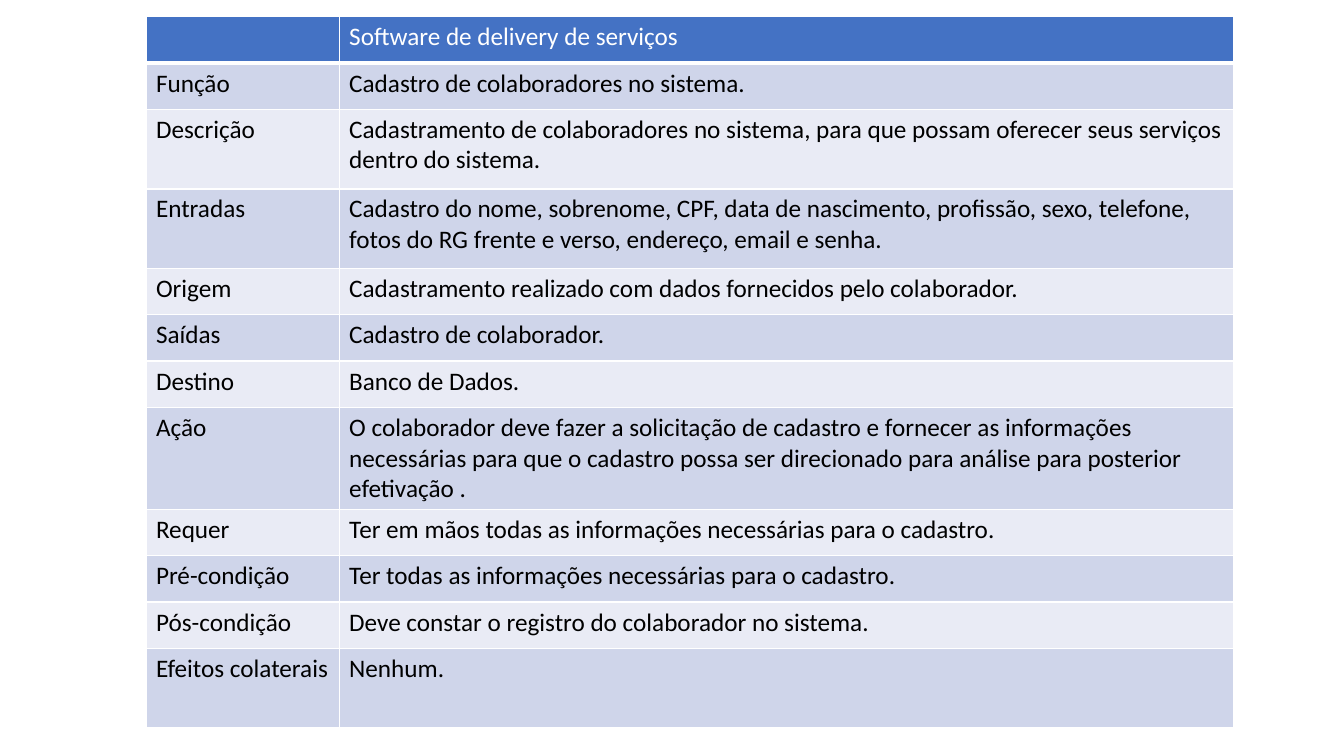
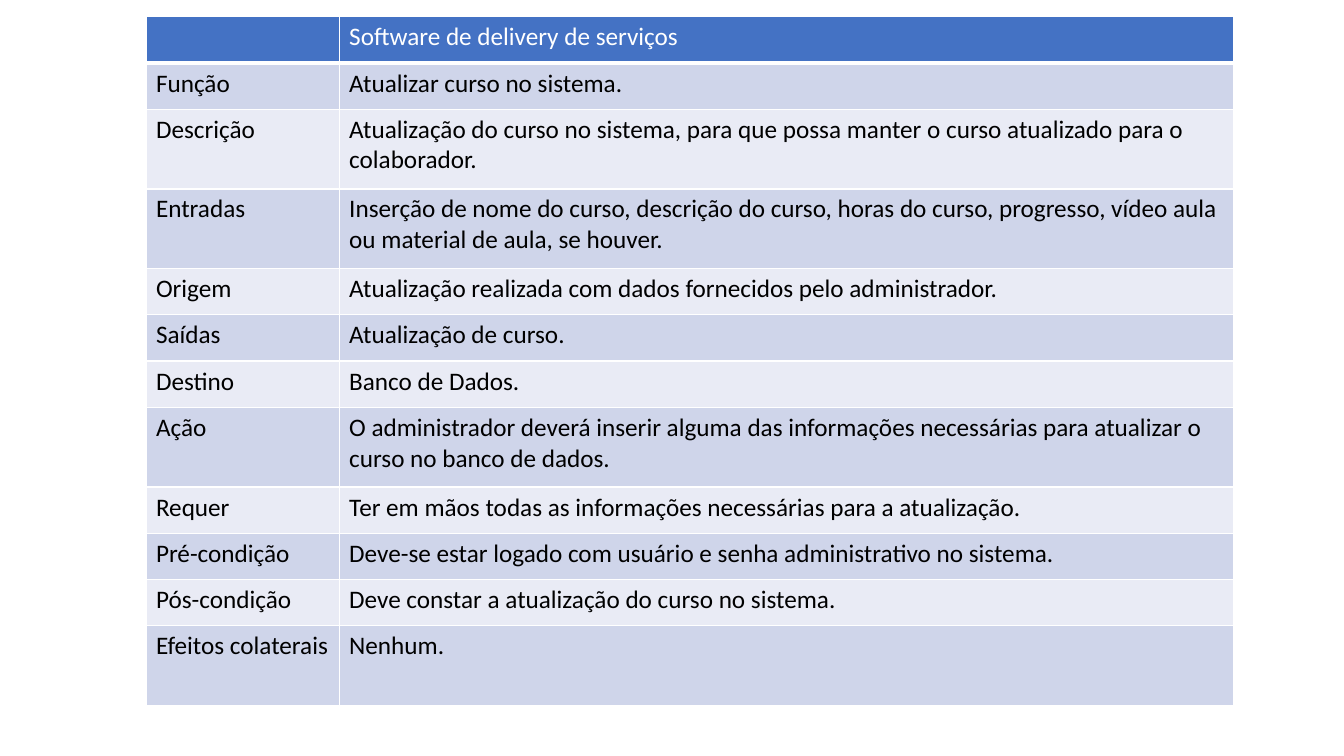
"""Build two requirement-specification slides, each with one table."""
from lxml import etree
from pptx import Presentation
from pptx.dml.color import RGBColor
from pptx.oxml.ns import qn
from pptx.util import Pt

PX = 9525
WHITE, BLACK = "FFFFFF", "000000"
HEADER_FILL = "4472C4"
BAND_FILLS = ["E9EBF5", "CFD5EA"]
FONT = "Calibri"
LEFT, TOP = 139, 16
LABEL_WIDTH, DETAIL_WIDTH = 184, 852
SHORT_ROW, TALL_ROW = 44, 76
HEADING = "Software de delivery de serviços"
LABELS = [
    "Função", "Descrição", "Entradas", "Origem", "Saídas", "Destino",
    "Ação", "Requer", "Pré-condição", "Pós-condição", "Efeitos colaterais",
]
TALL_LABELS = {"Descrição", "Entradas", "Ação", "Efeitos colaterais"}
REQUIREMENTS = [
    [
        "Cadastro de colaboradores no sistema.",
        "Cadastramento de colaboradores no sistema, para que possam oferecer "
        "seus serviços dentro do sistema.",
        "Cadastro do nome, sobrenome, CPF, data de nascimento, profissão, sexo, "
        "telefone, fotos do RG frente e verso, endereço, email e senha.",
        "Cadastramento realizado com dados fornecidos pelo colaborador.",
        "Cadastro de colaborador.",
        "Banco de Dados.",
        "O colaborador deve fazer a solicitação de cadastro e fornecer as "
        "informações necessárias para que o cadastro possa ser direcionado "
        "para análise para posterior efetivação .",
        "Ter em mãos todas as informações necessárias para o cadastro.",
        "Ter todas as informações necessárias para o cadastro.",
        "Deve constar o registro do colaborador no sistema.",
        "Nenhum.",
    ],
    [
        "Atualizar curso no sistema.",
        "Atualização do curso no sistema, para que possa manter o curso "
        "atualizado para o colaborador.",
        "Inserção de nome do curso, descrição do curso, horas do curso, "
        "progresso, vídeo aula ou material de aula, se houver.",
        "Atualização realizada com dados fornecidos pelo administrador.",
        "Atualização de curso.",
        "Banco de Dados.",
        "O administrador deverá inserir alguma das informações necessárias "
        "para atualizar o curso no banco de dados.",
        "Ter em mãos todas as informações necessárias para a atualização.",
        "Deve-se estar logado com usuário e senha administrativo no sistema.",
        "Deve constar a atualização do curso no sistema.",
        "Nenhum.",
    ],
]


def rgb(value):
    """Turn a hex string into a colour."""
    return RGBColor.from_string(value)


def add_borders(cell, bottom_width):
    """Draw white lines of 1 pt, with a chosen width at the bottom."""
    properties = cell._tc.get_or_add_tcPr()
    for side, width in (("L", 1), ("R", 1), ("T", 1), ("B", bottom_width)):
        line = etree.SubElement(properties, qn(f"a:ln{side}"), w=str(Pt(width)))
        solid = etree.SubElement(line, qn("a:solidFill"))
        etree.SubElement(solid, qn("a:srgbClr"), val=WHITE)


presentation = Presentation()
presentation.slide_width = 1280 * PX
presentation.slide_height = 720 * PX
blank_layout = presentation.slide_layouts[6]
row_heights = [SHORT_ROW] + [
    TALL_ROW if label in TALL_LABELS else SHORT_ROW for label in LABELS
]

for details in REQUIREMENTS:
    slide = presentation.slides.add_slide(blank_layout)
    entries = [("", HEADING), *zip(LABELS, details)]
    requirement = slide.shapes.add_table(
        len(entries), 2, LEFT * PX, TOP * PX,
        (LABEL_WIDTH + DETAIL_WIDTH) * PX, sum(row_heights) * PX,
    ).table
    requirement.columns[0].width = LABEL_WIDTH * PX
    requirement.columns[1].width = DETAIL_WIDTH * PX

    for row, (entry, height) in enumerate(zip(entries, row_heights)):
        requirement.rows[row].height = height * PX
        is_header = row == 0
        for column, text in enumerate(entry):
            cell = requirement.cell(row, column)
            add_borders(cell, 3 if is_header else 1)
            cell.fill.solid()
            cell.fill.fore_color.rgb = rgb(HEADER_FILL if is_header else BAND_FILLS[row % 2])
            cell.text = text
            font = cell.text_frame.paragraphs[0].font
            font.name = FONT
            font.size = Pt(18)
            font.bold = False
            font.color.rgb = rgb(WHITE if is_header else BLACK)

presentation.save("out.pptx")
